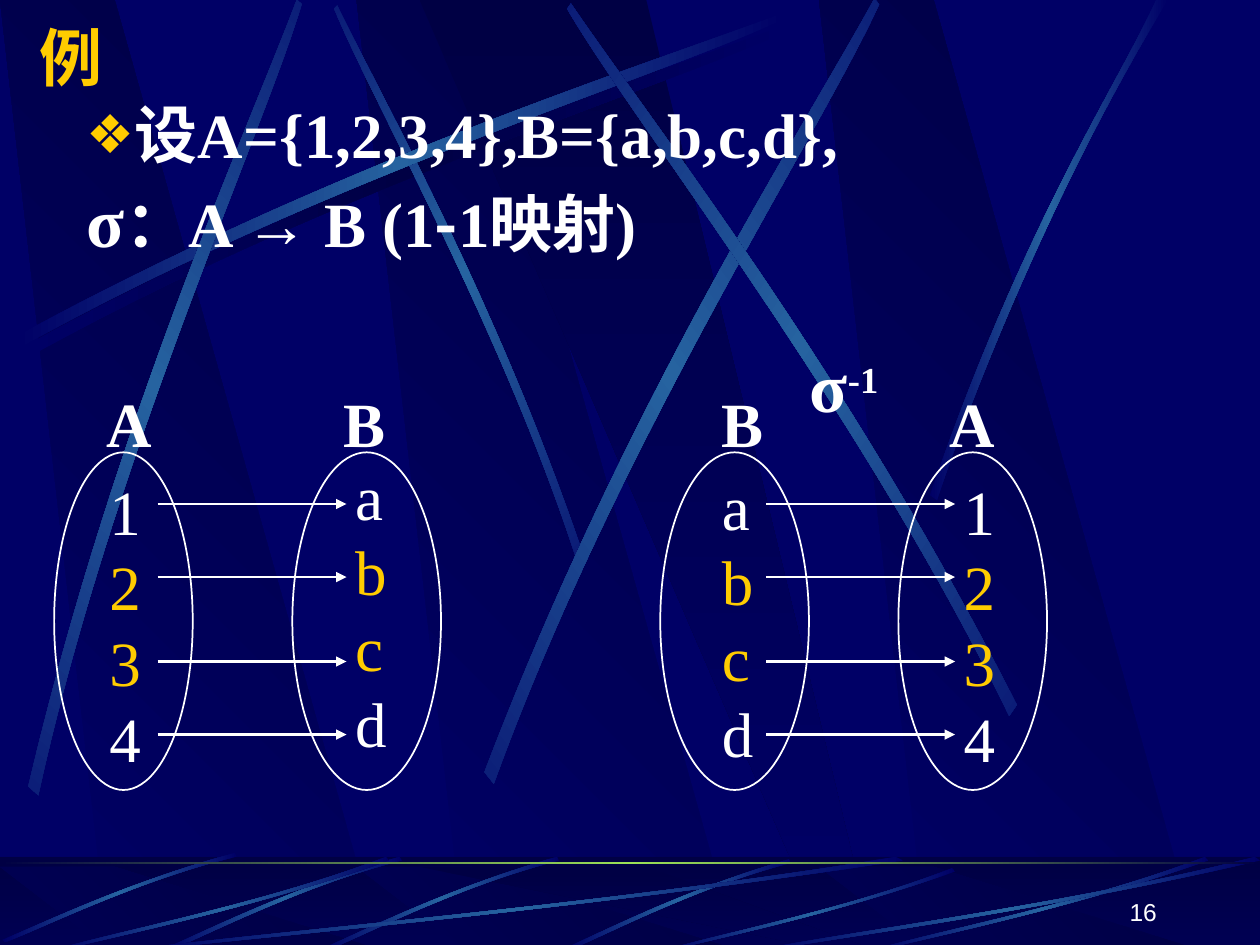
from copy import deepcopy

from lxml import etree
from pptx import Presentation
from pptx import util as u
from pptx.dml.color import RGBColor
from pptx.enum import shapes, text
from pptx.oxml.ns import qn

Inches, Pt = u.Inches, u.Pt
NAVY = RGBColor(0x00, 0x00, 0x66)
DARK = RGBColor(0x00, 0x00, 0x44)
STEEL = RGBColor(0x26, 0x63, 0xA0)
GREEN = RGBColor(0x9C, 0xE1, 0x57)
GOLD = RGBColor(0xFF, 0xCC, 0x00)
WHITE = RGBColor(0xFF, 0xFF, 0xFF)
SERIF, CJK = "Times New Roman", "Noto Sans CJK SC"

# Streak outlines as fractions of their box: two cubic curves, there and back
SWEEP = [(0, .96), (.43, .43), (.83, .15), (1, 0),
         (1, .02), (.84, .19), (.39, .5), (0, 1)]
STEM = [(0, .99), (.4, .44), (.79, .17), (.95, 0),
        (1, 0), (.52, .37), (.16, .81), (.03, 1)]
CURL = [(.99, 0), (.53, .33), (.16, .8), (0, .97),
        (.01, 1), (.17, .84), (.58, .3), (1, .04)]
BRUSH = [(1, .04), (.57, .57), (.17, .85), (.01, 1),
         (0, .99), (.16, .81), (.62, .51), (.99, 0)]


def sub(parent, tag, **attrs):
    return etree.SubElement(parent, qn(tag), attrs)


def gradient(sp, colors, angle):
    sp.shadow.inherit = False
    sp.line.fill.background()
    sp.fill.gradient()
    sp.fill.gradient_angle = angle
    stops = sp._element.spPr.find(".//" + qn("a:gsLst"))
    while len(stops) < len(colors):
        stops.append(deepcopy(stops[-1]))
    for i, (stop, color) in enumerate(zip(sp.fill.gradient_stops, colors)):
        stop.color.rgb = color
        stop.position = i / (len(colors) - 1)


def outline(group, points):
    points = [(Inches(x), Inches(y)) for x, y in points]
    builder = group.shapes.build_freeform(*points[0])
    builder.add_line_segments(points[1:])
    return builder.convert_to_shape()


def bend(sp):
    """Turn segments 1-3 and 5-7 of the outline into cubic curves."""
    lines = sp._element.spPr.findall(".//" + qn("a:lnTo"))
    for trio in (lines[0:3], lines[4:7]):
        cubic = etree.Element(qn("a:cubicBezTo"))
        trio[0].addprevious(cubic)
        for line in trio:
            cubic.append(line[0])
            line.getparent().remove(line)


def streak(group, form, box, rotation=0, flip=False, middle=STEEL):
    x, y, w, h = box
    sp = outline(group, [(x + w * (1 - fx if flip else fx), y + h * fy)
                         for fx, fy in form])
    bend(sp)
    gradient(sp, [NAVY, middle, NAVY], 0)
    sp.rotation = rotation


def panels(group, top, height):
    """Slanted dark panels across the slide."""
    bottom = top + height
    for x in (2.83, 0, 6.5):
        sp = outline(group, [(x + .86, bottom), (x + 3.02, bottom),
                             (x + .91, top), (x, top)])
        gradient(sp, [NAVY, DARK], 45)
    wedge = outline(group, [(3.33, top), (6.58, bottom),
                            (6.94, bottom), (5.13, top)])
    gradient(wedge, [DARK, NAVY], 270)


def bar(group, top, height):
    return group.shapes.add_shape(shapes.MSO_SHAPE.RECTANGLE, 0, Inches(top),
                                  Inches(10), Inches(height))


def backdrop(slide, master):
    """Draw the decoration and hand it to the slide master."""
    fill = master.background.fill
    fill.solid()
    fill.fore_color.rgb = NAVY
    group = slide.shapes.add_group_shape()

    # Upper area
    panels(group, 0, 7.52)
    streak(group, SWEEP, (.2, .18, 6.08, 2.67), middle=DARK)
    streak(group, SWEEP, (1.41, 1.35, 4.42, 1.75), 45, True)
    streak(group, SWEEP, (.14, .1, 6.08, 2.67))
    streak(group, SWEEP, (-1.71, 1.82, 6.08, 2.67), 311.7)
    streak(group, SWEEP, (2.31, 1.6, 6.24, 3.01), 321.6)
    streak(group, SWEEP, (3.23, 1.52, 6.08, 2.67), 34.7, True)
    streak(group, STEM, (7.38, 0, 1.89, 3.97))

    # Bottom band
    gradient(bar(group, 6.8, .75), [DARK, NAVY], 270)
    panels(group, 6.88, .66)
    veil = bar(group, 6.8, .75)
    veil.shadow.inherit = False
    veil.line.fill.background()
    veil.fill.solid()
    veil.fill.fore_color.rgb = DARK
    sub(veil._element.spPr.find(".//" + qn("a:srgbClr")), "a:alpha", val="50000")
    for box in ((4.48, 6.82, 1.8, .73), (2.56, 6.8, 1.88, .75),
                (1.31, 6.8, 1.88, .75), (.02, 6.77, 1.86, .71)):
        streak(group, CURL, box)
    for left, top, width in ((1, 6.8, 6.17), (.42, 6.8, 2.67), (5.27, 6.89, 2.31),
                             (6.92, 6.8, 2.67), (6, 6.8, 4)):
        streak(group, BRUSH, (left, top, width, 7.55 - top))
    gradient(bar(group, 6.84, .02), [DARK, GREEN, DARK], 0)

    # Behind the master's placeholders, with ids of its own
    for props in group._element.iter(qn("p:cNvPr")):
        props.set("id", str(int(props.get("id")) + 100))
    master.shapes._spTree.insert(2, group._element)


def add_run(p, words, size=36, color=WHITE, bold=False, font=SERIF):
    r = p.add_run()
    r.text = words
    r.font.size, r.font.bold, r.font.name = Pt(size), bold, font
    r.font.color.rgb = color
    sub(r._r.get_or_add_rPr(), "a:ea", typeface=CJK)
    return r


def place(sp, box):
    sp.left, sp.top, sp.width, sp.height = map(Inches, box)


def text_box(slide, box, wrap=False):
    tf = slide.shapes.add_textbox(*map(Inches, box)).text_frame
    tf.word_wrap = wrap
    return tf


def title(slide, box, words):
    sp = slide.shapes.title
    place(sp, box)
    tf = sp.text_frame
    tf.vertical_anchor = text.MSO_ANCHOR.MIDDLE
    p = tf.paragraphs[0]
    p.alignment = text.PP_ALIGN.LEFT
    add_run(p, words, color=GOLD, bold=True)


def body(slide, box):
    sp = slide.placeholders[1]
    place(sp, box)
    tf = sp.text_frame
    tf.auto_size = text.MSO_AUTO_SIZE.NONE
    first, second = tf.paragraphs[0], tf.add_paragraph()
    for p, indent, before in ((first, .38, 0), (second, 0, 8)):
        p.alignment = text.PP_ALIGN.JUSTIFY
        p.line_spacing, p.space_before = .9, Pt(before)
        pPr = p._p.get_or_add_pPr()
        pPr.set("marL", str(Inches(indent)))
        pPr.set("indent", str(-Inches(indent)))
    pPr = first._p.pPr
    sub(sub(pPr, "a:buClr"), "a:srgbClr", val=str(GOLD))
    sub(pPr, "a:buSzPct", val="85000")
    sub(pPr, "a:buChar", char="❖")
    sub(second._p.pPr, "a:buNone")
    add_run(first, "设A={1,2,3,4},B={a,b,c,d},", bold=True)
    for words, size, font in (("σ", 40, SERIF), ("：A → B (1", 36, SERIF), ("-", 36, CJK),
                              ("1", 36, SERIF), ("映射", 36, CJK), (")", 36, SERIF)):
        add_run(second, words, size, bold=True, font=font)


def set_column(slide, oval, name, name_left, items, items_left, items_top):
    """One set: its oval, its name above and its four elements inside."""
    tf = text_box(slide, (items_left, items_top, .45, 2.5))
    for i, item in enumerate(items):
        p = tf.add_paragraph() if i else tf.paragraphs[0]
        add_run(p, item, color=GOLD if i in (1, 2) else WHITE)
    tf = text_box(slide, (name_left, 3, .56 if name == "A" else .53, .7))
    add_run(tf.paragraphs[0], name, bold=True)
    left, width = oval
    sp = slide.shapes.add_shape(shapes.MSO_SHAPE.OVAL, Inches(left), Inches(3.59),
                                Inches(width), Inches(2.68))
    sp.shadow.inherit = False
    sp.fill.background()
    sp.line.color.rgb, sp.line.width = WHITE, Pt(1)


def arrows(slide, left, length=1.5):
    for y in (4, 4.58, 5.25, 5.83):
        line = slide.shapes.add_connector(
            shapes.MSO_CONNECTOR.STRAIGHT, Inches(left), Inches(y),
            Inches(left + length), Inches(y))
        line.line.color.rgb, line.line.width = WHITE, Pt(1.5)
        sub(line.line._get_or_add_ln(), "a:tailEnd", type="triangle")
        sub(line._element.spPr, "a:effectLst")


def main():
    prs = Presentation()
    prs.slide_width, prs.slide_height = Inches(10), Inches(7.5)
    slide = prs.slides.add_slide(prs.slide_layouts[1])
    backdrop(slide, prs.slide_master)
    title(slide, (.21, .09, 9.64, .71), "例")
    body(slide, (.59, .78, 9.14, 1.5))

    # Mapping from A to B
    set_column(slide, (.43, 1.1), "A", .75, "1234", .77, 3.7)
    set_column(slide, (2.32, 1.18), "B", 2.63, "abcd", 2.72, 3.58)
    arrows(slide, 1.25)

    # Inverse mapping from B to A
    set_column(slide, (5.24, 1.18), "B", 5.63, "abcd", 5.63, 3.66)
    set_column(slide, (7.13, 1.18), "A", 7.44, "1234", 7.55, 3.7)
    arrows(slide, 6.08)
    p = text_box(slide, (6.33, 2.67, 1.5, .77), wrap=True).paragraphs[0]
    add_run(p, "σ", 40, bold=True)
    power = add_run(p, "-1", bold=True)
    power._r.get_or_add_rPr().set("baseline", "30000")

    # Slide number
    tf = text_box(slide, (7.2, 6.9, 2.08, .5), wrap=True)
    tf.vertical_anchor = text.MSO_ANCHOR.BOTTOM
    tf.paragraphs[0].alignment = text.PP_ALIGN.RIGHT
    add_run(tf.paragraphs[0], "16", 14, font="Arial")
    prs.save("out.pptx")


if __name__ == "__main__":
    main()
